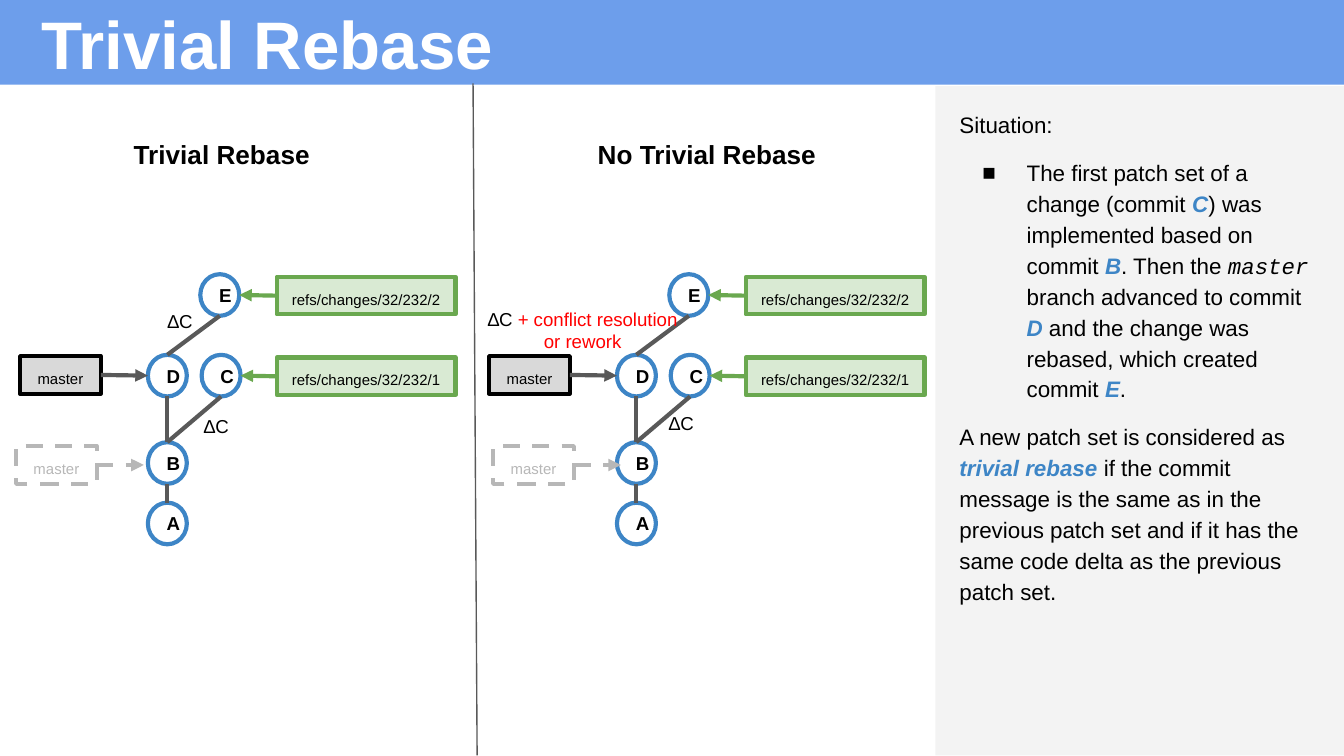
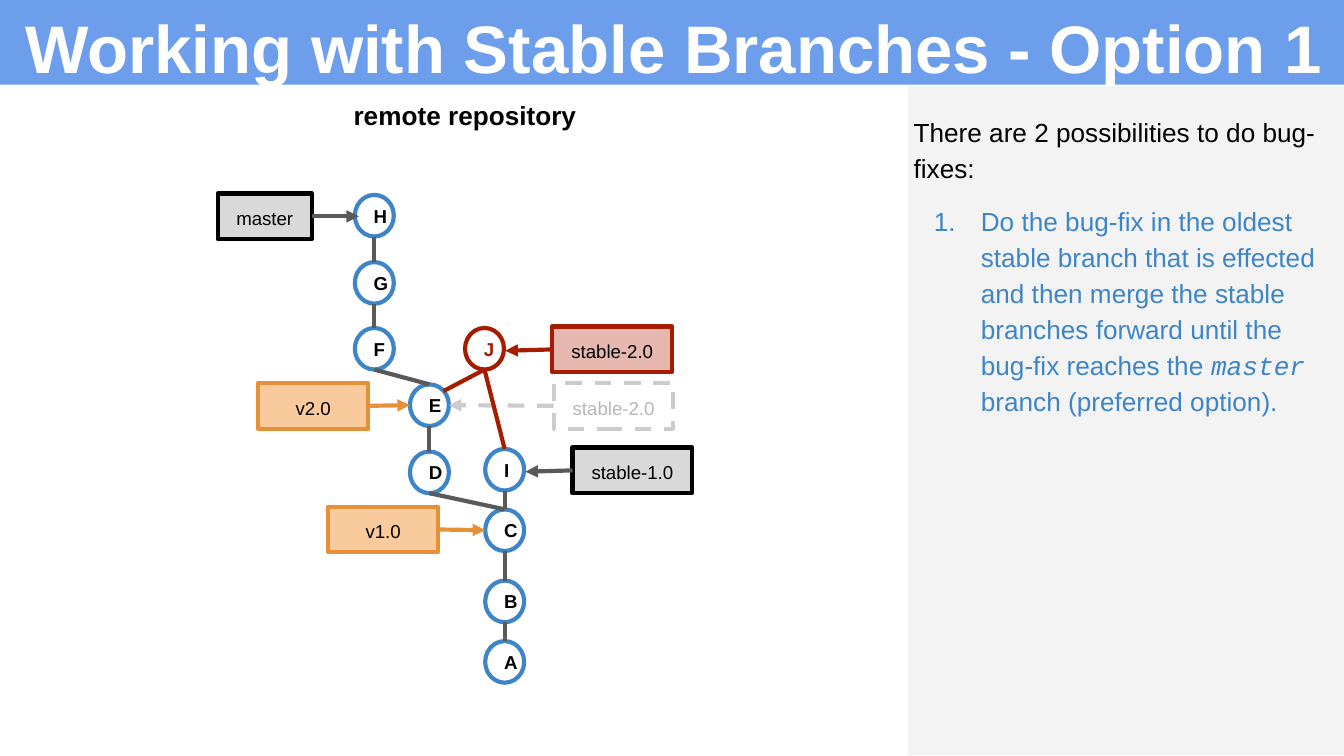
"""Build two slides on trivial rebases and stable branches."""
import pptx
import pptx.dml.color
import pptx.enum.dml
import pptx.enum.shapes
import pptx.enum.text
import pptx.oxml.ns
import pptx.util
from lxml import etree

Inches = pptx.util.Inches
RGB = pptx.dml.color.RGBColor
Form = pptx.enum.shapes.MSO_SHAPE
Align = pptx.enum.text.PP_ALIGN
Anchor = pptx.enum.text.MSO_ANCHOR
qn = pptx.oxml.ns.qn

WHITE = RGB(0xFF, 0xFF, 0xFF)
BLACK = RGB(0, 0, 0)
RED = RGB(0xFF, 0, 0)
BAND = RGB(0x6D, 0x9E, 0xEB)
PANEL = RGB(0xF3, 0xF3, 0xF3)
BLUE = RGB(0x3D, 0x85, 0xC6)
DARK = RGB(0x59, 0x59, 0x59)
GRAY = RGB(0xD9, 0xD9, 0xD9)
FADED = RGB(0xB7, 0xB7, 0xB7)
PALE = RGB(0xCC, 0xCC, 0xCC)
GREEN = RGB(0x6A, 0xA8, 0x4F)
MINT = RGB(0xD9, 0xEA, 0xD3)
ORANGE = RGB(0xE6, 0x91, 0x38)
PEACH = RGB(0xF9, 0xCB, 0x9C)
RUST = RGB(0xA6, 0x1C, 0x00)
ROSE = RGB(0xE6, 0xB8, 0xAF)

TOP, LEFT, BOTTOM, RIGHT = range(4)
TERM = dict(color=BLUE, bold=True, italic=True)
CODE = dict(font="Courier New", italic=True)


def write(para, text, size=10, color=BLACK, bold=False, italic=False, font="Arial"):
    """Add one formatted run to a paragraph."""
    run = para.add_run()
    run.text = text
    run.font.name = font
    run.font.size = pptx.util.Pt(size)
    run.font.bold = bold
    run.font.italic = italic
    run.font.color.rgb = color


def bullet(para, kind, color, hang, **attrs):
    """Give a paragraph a coloured bullet with a hanging indent."""
    props = para._p.get_or_add_pPr()
    props.set("marL", str(Inches(0.5)))
    props.set("indent", str(-Inches(hang)))
    tint = etree.SubElement(props, qn("a:buClr"))
    etree.SubElement(tint, qn("a:srgbClr"), val=str(color))
    etree.SubElement(props, qn("a:buFont"), typeface="Arial")
    etree.SubElement(props, qn(kind), **attrs)


def point(end):
    """Return the place of a shape's side, or of a plain pair of inches."""
    spot, side = end
    if not hasattr(spot, "left"):
        return Inches(spot), Inches(side)
    wide, high = {TOP: (0.5, 0), LEFT: (0, 0.5), BOTTOM: (0.5, 1), RIGHT: (1, 0.5)}[side]
    return int(spot.left + wide * spot.width), int(spot.top + high * spot.height)


def boxed(end):
    """Tell whether an end lies on a rectangle."""
    return hasattr(end[0], "left") and end[0].auto_shape_type == Form.RECTANGLE


class Deck:
    """Hold the shared style and the current slide."""

    def __init__(self):
        """Start an empty wide deck."""
        self.file = pptx.Presentation()
        self.file.slide_width = Inches(10)
        self.file.slide_height = Inches(10 * 9 / 16)
        self.slide = None

    def open(self, title, left, top, width):
        """Add a slide with its title band."""
        self.slide = self.file.slides.add_slide(self.file.slide_layouts[6])
        self.shape(Form.RECTANGLE, 0, 0, 10, 0.63, BAND)
        self.text(left, top, width, 0.83, title, align=Align.LEFT,
                  anchor=Anchor.MIDDLE, size=36, color=WHITE, bold=True)

    def shape(self, form, left, top, width, height, fill=None, line=None, dash=False):
        """Add a flat preset shape."""
        item = self.slide.shapes.add_shape(
            form, Inches(left), Inches(top), Inches(width), Inches(height))
        item.shadow.inherit = False
        if fill is None:
            item.fill.background()
        else:
            item.fill.solid()
            item.fill.fore_color.rgb = fill
        if line is None:
            item.line.fill.background()
        else:
            self.stroke(item.line, line, 2.25, dash)
        return item

    def stroke(self, line, color, width, dash):
        """Set the colour, width and dash of a line."""
        line.color.rgb = color
        line.width = pptx.util.Pt(width)
        if dash:
            line.dash_style = pptx.enum.dml.MSO_LINE.DASH

    def fill(self, frame, parts, align=Align.CENTER, anchor=Anchor.TOP, **style):
        """Write a string or a list of runs into a frame's first paragraph."""
        frame.word_wrap = True
        frame.vertical_anchor = anchor
        frame.margin_left = frame.margin_right = Inches(0.1)
        frame.margin_top = frame.margin_bottom = Inches(0.1)
        self.runs(frame.paragraphs[0], parts, align, **style)
        return frame

    def runs(self, para, parts, align=Align.LEFT, **style):
        """Write a string or a list of runs into a paragraph."""
        para.alignment = align
        for text, extra in [(parts, {})] if isinstance(parts, str) else parts:
            write(para, text, **{**style, **extra})

    def text(self, left, top, width, height, parts, **style):
        """Add a text box."""
        box = self.slide.shapes.add_textbox(
            Inches(left), Inches(top), Inches(width), Inches(height))
        return self.fill(box.text_frame, parts, **style)

    def head(self, left, top, text):
        """Add a bold heading over a graph."""
        self.text(left, top, 2.06, 0.5, text, size=14, bold=True)

    def panel(self, left, box, paras, size, hang):
        """Add the side panel; paras pair a bullet (or None) with runs."""
        self.shape(Form.RECTANGLE, left, 0.64, 10 - left, 4.98, PANEL)
        frame = self.text(*box, [])
        for count, (mark, parts, color) in enumerate(paras):
            para = frame.add_paragraph() if count else frame.paragraphs[0]
            para.line_spacing = 1.15
            para.space_before = pptx.util.Pt(9 if count else 0)
            if mark:
                kind, attrs = mark
                bullet(para, kind, color, hang, **attrs)
            self.runs(para, parts, size=size, color=color)

    def node(self, name, left, top, line=BLUE, color=BLACK):
        """Add a commit circle."""
        item = self.shape(Form.OVAL, left, top, 0.29, 0.31, line=line)
        self.fill(item.text_frame, name, anchor=Anchor.MIDDLE, color=color, bold=True)
        return item

    def tag(self, text, left, top, width, height=0.34, fill=GRAY, line=BLACK,
            color=BLACK, size=10, dash=False):
        """Add a branch or tag label."""
        item = self.shape(Form.RECTANGLE, left, top, width, height, fill, line, dash)
        self.fill(item.text_frame, text, size=size, color=color)
        return item

    def link(self, start, end, color=DARK, arrow=False, dash=False, width=2.25):
        """Draw a straight line between two ends."""
        item = self.slide.shapes.add_connector(
            pptx.enum.shapes.MSO_CONNECTOR.STRAIGHT, *point(start), *point(end))
        if boxed(start):
            item.begin_connect(*start)
        if boxed(end):
            item.end_connect(*end)
        self.stroke(item.line, color, width, dash)
        props = item.element.spPr
        if arrow:
            etree.SubElement(props.find(qn("a:ln")), qn("a:tailEnd"), type="triangle")
        etree.SubElement(props, qn("a:effectLst"))


def graph(deck, left, ghost):
    """Draw one rebase graph, with the old master label at ghost."""
    spots = dict(B=(1.1, 3.29), A=(1.1, 3.74), C=(1.5, 2.64), E=(1.49, 2.04), D=(1.1, 2.64))
    nodes = {name: deck.node(name, left + x, y) for name, (x, y) in spots.items()}
    for low, high in ("AB", "BC", "DE", "BD"):
        deck.link((nodes[low], TOP), (nodes[high], BOTTOM))
    for name, num, top in (("C", 1, 2.66), ("E", 2, 2.06)):
        ref = deck.tag(f"refs/changes/32/232/{num}", left + 2.06, top, 1.33, 0.28,
                       MINT, GREEN, size=8)
        deck.link((ref, LEFT), (nodes[name], RIGHT), GREEN, arrow=True)
    master = deck.tag("master", left + 0.15, 2.65, 0.6, 0.28, size=8)
    deck.link((master, RIGHT), (nodes["D"], LEFT), arrow=True)
    old = deck.tag("master", ghost, 3.32, 0.6, 0.28, None, FADED, FADED, 8, True)
    deck.link((old, RIGHT), (ghost + 0.95, 3.46), FADED, arrow=True, dash=True)


def rebase(deck):
    """Build the slide on trivial rebases."""
    deck.open("Trivial Rebase", 0.21, -0.1, 8.26)
    deck.panel(6.96, (7.04, 0.7, 2.89, 4.68), [
        (None, "Situation:", BLACK),
        (("a:buChar", dict(char="■")), [
            ("The first patch set of a change (commit ", {}), ("C", TERM),
            (") was implemented based on commit ", {}), ("B", TERM),
            (". Then the ", {}), ("master", CODE),
            (" branch advanced to commit ", {}), ("D", TERM),
            (" and the change was rebased, which created commit ", {}), ("E", TERM),
            (".", {})], BLACK),
        (None, [
            ("A new patch set is considered as ", {}), ("trivial rebase", TERM),
            (" if the commit message is the same as in the previous patch set and if it"
             " has the same code delta as the previous patch set.", {})], BLACK),
    ], 12, 0.33)
    graph(deck, 0, 0.12)
    graph(deck, 3.49, 3.67)
    deck.link((3.52, 0.62), (3.55, 5.62), width=0.75)
    deck.head(0.62, 0.93, "Trivial Rebase")
    deck.head(4.23, 0.93, "No Trivial Rebase")
    deck.text(3.5, 2.19, 1.67, 0.5,
              [("∆C ", {}), ("+ conflict resolution or rework", dict(color=RED))])
    for left, top in ((4.87, 2.98), (1.41, 3), (1.14, 2.22)):
        delta = deck.text(left, top, 0.4, 0.28, "∆C")
        delta.auto_size = pptx.enum.text.MSO_AUTO_SIZE.SHAPE_TO_FIT_TEXT


def stable(deck):
    """Build the slide on stable branches."""
    deck.open("Working with Stable Branches - Option 1", 0.09, -0.07, 9.93)
    deck.panel(6.76, (6.7, 0.73, 3.24, 4.41), [
        (None, "There are 2 possibilities to do bug-fixes:", BLACK),
        (("a:buAutoNum", dict(type="arabicPeriod")), [
            ("Do the bug-fix in the oldest stable branch that is effected and then merge"
             " the stable branches forward until the bug-fix reaches the ", {}),
            ("master", CODE), (" branch (preferred option).", {})], BLUE),
    ], 14, 0.35)
    deck.head(2.43, 0.64, "remote repository")
    spots = dict(A=(3.61, 4.77), B=(3.61, 4.32), C=(3.61, 3.79), I=(3.61, 3.34),
                 D=(3.05, 3.36), E=(3.05, 2.86), F=(2.64, 2.44), G=(2.64, 1.95),
                 H=(2.64, 1.45))
    nodes = {name: deck.node(name, *spot) for name, spot in spots.items()}
    fix = deck.node("J", 3.46, 2.44, RUST, RUST)
    for low, high in ("AB", "BC", "CD", "CI", "DE", "EF", "FG", "GH"):
        deck.link((nodes[low], TOP), (nodes[high], BOTTOM))
    for text, left, top, name in (("v1.0", 2.44, 3.77, "C"), ("v2.0", 1.92, 2.85, "E")):
        tag = deck.tag(text, left, top, 0.82, fill=PEACH, line=ORANGE)
        deck.link((tag, RIGHT), (nodes[name], LEFT), ORANGE, arrow=True)
    master = deck.tag("master", 1.62, 1.44, 0.7)
    deck.link((master, RIGHT), (2.67, 1.61), arrow=True)
    old = deck.tag("stable-2.0", 4.12, 2.85, 0.89, fill=None, line=PALE, color=FADED, dash=True)
    deck.link((old, LEFT), (nodes["E"], RIGHT), PALE, arrow=True, dash=True)
    new = deck.tag("stable-2.0", 4.11, 2.43, 0.89, fill=ROSE, line=RUST)
    deck.link((new, LEFT), (3.76, 2.61), RUST, arrow=True)
    first = deck.tag("stable-1.0", 4.26, 3.33, 0.89)
    deck.link((first, LEFT), (3.91, 3.51), arrow=True)
    deck.link((fix, BOTTOM), (3.3, 2.91), RUST)
    deck.link((fix, BOTTOM), (nodes["I"], TOP), RUST)


def main():
    """Build and save the deck."""
    deck = Deck()
    rebase(deck)
    stable(deck)
    deck.file.save("out.pptx")


if __name__ == "__main__":
    main()
